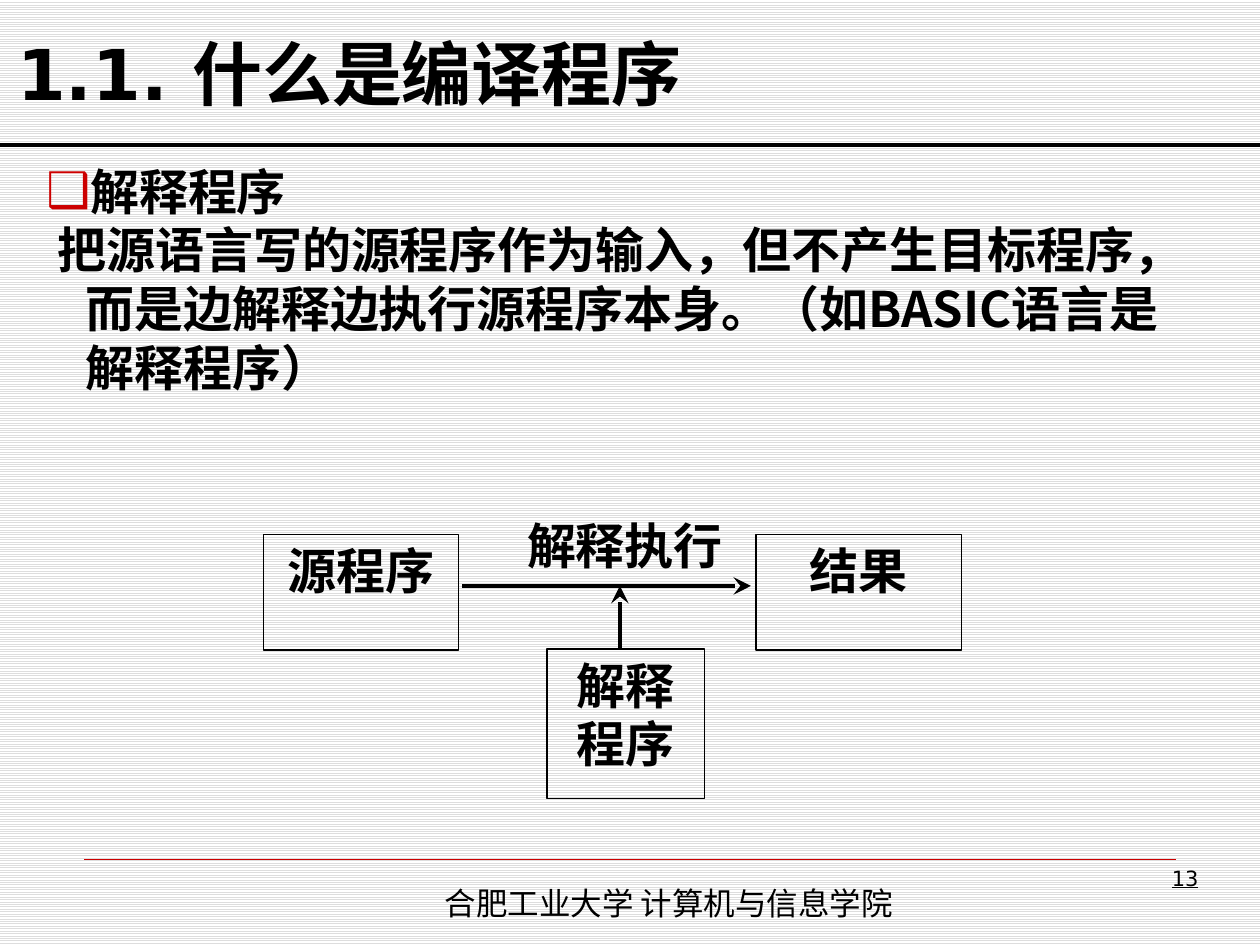
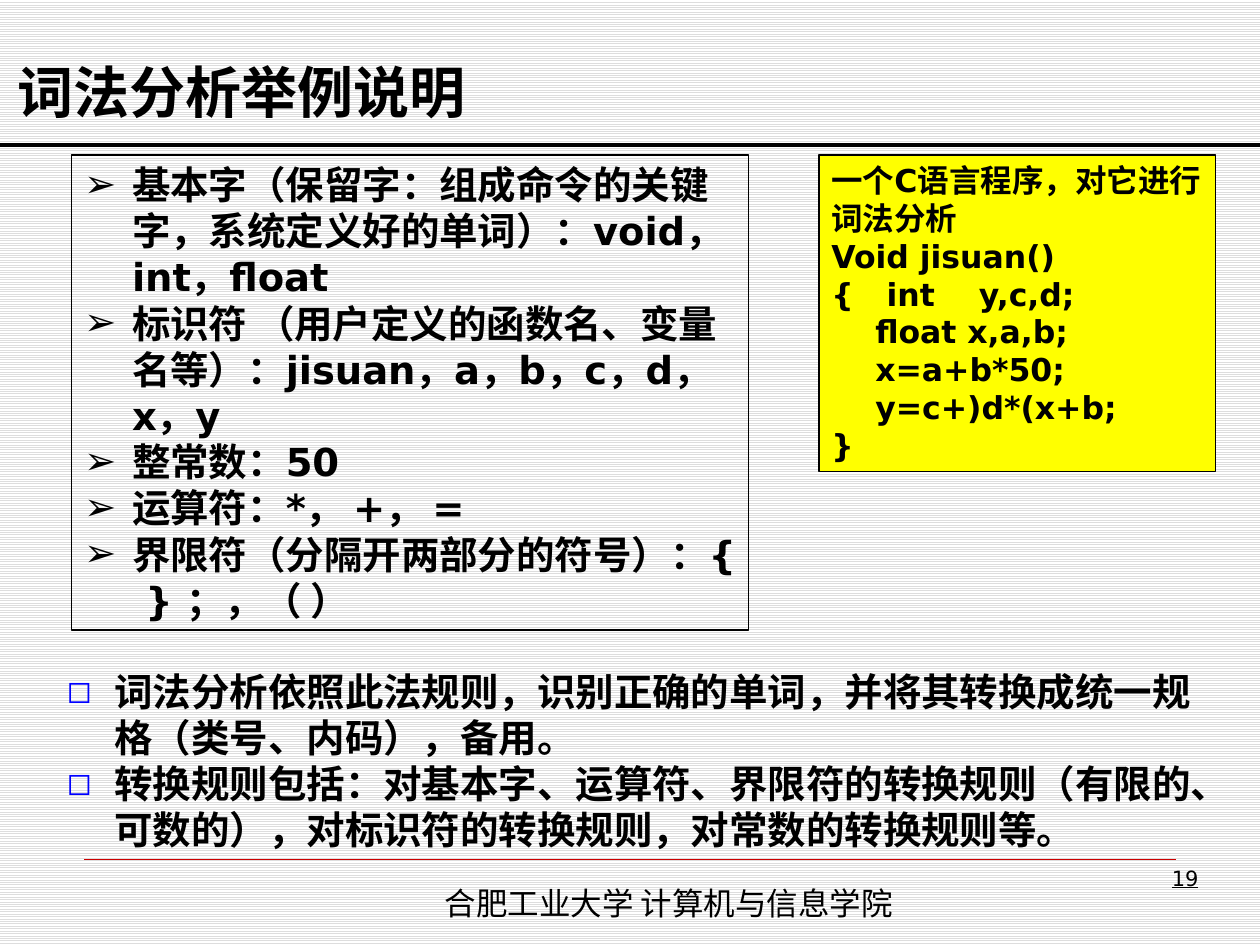
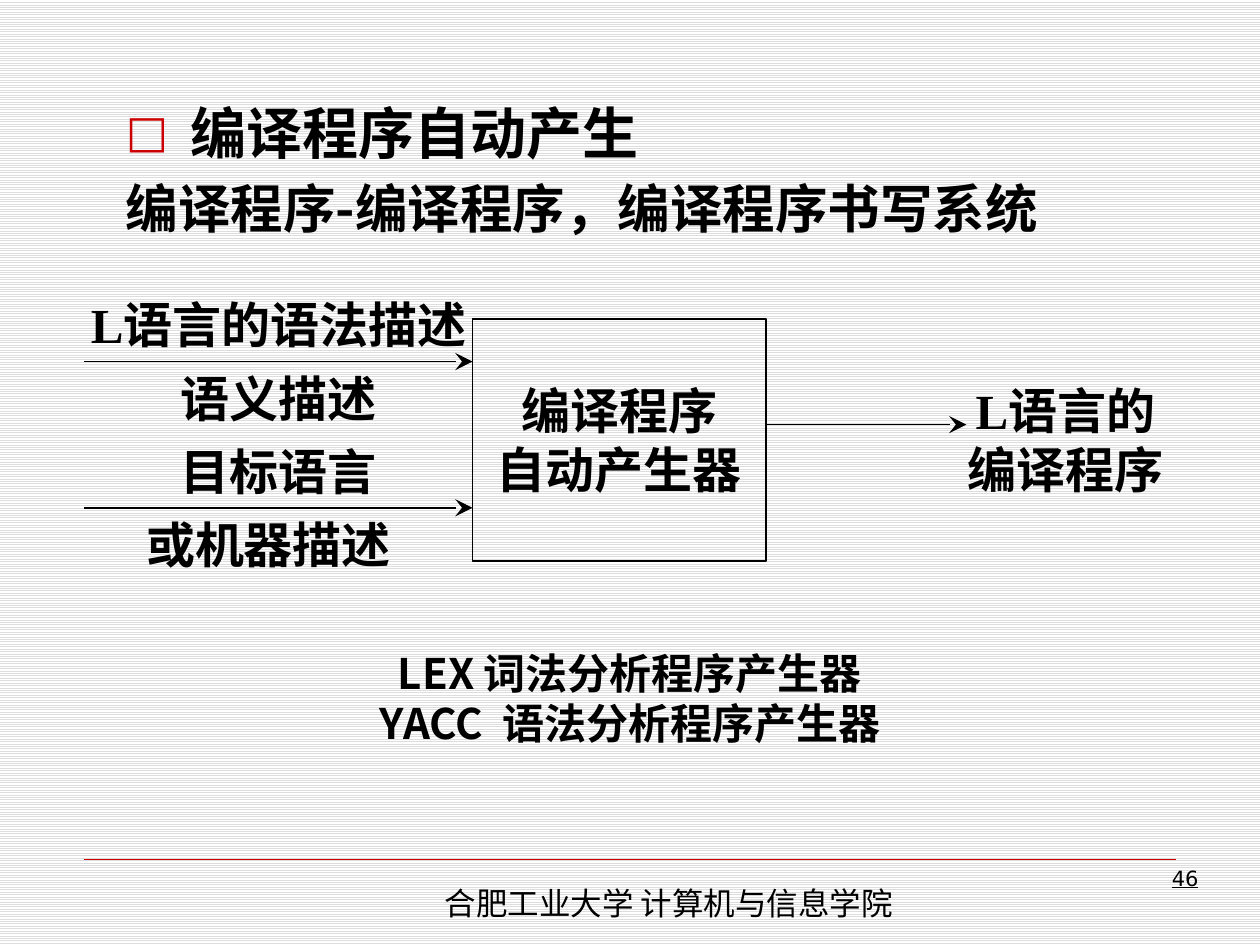
"""Build three lecture slides on compilers."""
import pptx
import pptx.dml.color
import pptx.enum.dml
import pptx.enum.shapes
import pptx.enum.text
import pptx.oxml.ns
import pptx.util
import lxml.etree

COLORS = {"text": "000000", "rule": "CC0000", "red": "CC0000", "blue": "0000FF",
          "code": "FFFF00", "stripe": "DDDDDD", "paper": "FFFFFF"}
HAN, SANS, SERIF = "Noto Sans CJK SC", "DejaVu Sans", "Times New Roman"
ALIGN = pptx.enum.text.PP_ALIGN
ANCHOR = pptx.enum.text.MSO_ANCHOR
Inches = pptx.util.Inches
LEADING = 1.2


def rgb(name):
    """Return the named colour."""
    return pptx.dml.color.RGBColor.from_string(COLORS[name])


def add_xml(parent, tag, **attrs):
    """Append a DrawingML element."""
    return lxml.etree.SubElement(parent, pptx.oxml.ns.qn(tag), attrs)


def add_bullet(p, char, color, percent):
    """Give a paragraph a coloured bullet."""
    pPr = p._p.get_or_add_pPr()
    add_xml(add_xml(pPr, "a:buClr"), "a:srgbClr", val=COLORS[color])
    add_xml(pPr, "a:buSzPct", val=str(percent * 1000))
    add_xml(pPr, "a:buFont", typeface=SANS)
    add_xml(pPr, "a:buChar", char=char)


def add_run(p, text, font, size, bold, underline=False):
    """Add one formatted run to a paragraph."""
    r = p.add_run()
    r.text = text
    r.font.size = pptx.util.Pt(size)
    r.font.bold = bold
    r.font.underline = underline
    r.font.name = font
    r.font.color.rgb = rgb("text")
    add_xml(r._r.get_or_add_rPr(), "a:ea", typeface=HAN)


def add_paragraph(tf, text, font, size, bold=True, underline=False, align=ALIGN.LEFT,
                  indent=0, bullet=None, bullet_color="text", bullet_percent=100, before=0):
    """Add a paragraph, using the first empty one if there is one."""
    first = tf.paragraphs[0]
    p = tf.add_paragraph() if first.runs else first
    if bullet:
        add_bullet(p, bullet, bullet_color, bullet_percent)
    if indent:
        pPr = p._p.get_or_add_pPr()
        pPr.set("marL", str(Inches(indent)))
        pPr.set("indent", str(-Inches(indent)))
    p.alignment = align
    p.line_spacing = pptx.util.Pt(round(size * LEADING, 1))
    if before:
        p.space_before = pptx.util.Pt(before)
    add_run(p, text, font, size, bold, underline)


def set_frame(sp, lines, font, size, anchor=ANCHOR.TOP, wrap=True, side=0.1, **style):
    """Fill a shape with paragraphs of one style."""
    tf = sp.text_frame
    tf.word_wrap = wrap
    tf.vertical_anchor = anchor
    tf.margin_left = tf.margin_right = Inches(side)
    for text in lines:
        add_paragraph(tf, text, font, size, **style)
    return tf


def add_text(s, box, lines, font, size, **style):
    """Add a text box."""
    sp = s.shapes.add_textbox(*map(Inches, box))
    return set_frame(sp, lines, font, size, **style)


def add_box(s, box, lines, font, size, fill=None, width=0.75, **style):
    """Add an outlined rectangle with text."""
    sp = s.shapes.add_shape(pptx.enum.shapes.MSO_SHAPE.RECTANGLE, *map(Inches, box))
    sp.shadow.inherit = False
    if fill:
        sp.fill.solid()
        sp.fill.fore_color.rgb = rgb(fill)
    else:
        sp.fill.background()
    sp.line.color.rgb = rgb("text")
    sp.line.width = pptx.util.Pt(width)
    set_frame(sp, lines, font, size, **style)


def add_line(s, x1, y1, x2, y2, width, color="text", arrow=False):
    """Add a straight line, with an arrowhead on request."""
    sp = s.shapes.add_connector(pptx.enum.shapes.MSO_CONNECTOR.STRAIGHT,
                                *map(Inches, (x1, y1, x2, y2)))
    sp.line.color.rgb = rgb(color)
    sp.line.width = pptx.util.Pt(width)
    if arrow:
        add_xml(sp.line._get_or_add_ln(), "a:tailEnd", type="stealth", w="lg", len="lg")
    add_xml(sp._element.spPr, "a:effectLst")


def add_slide(prs, number):
    """Add a striped slide with its footer and page number."""
    s = prs.slides.add_slide(prs.slide_layouts[6])
    fill = s.background.fill
    fill.patterned()
    fill.pattern = pptx.enum.dml.MSO_PATTERN.LIGHT_HORIZONTAL
    fill.fore_color.rgb = rgb("stripe")
    fill.back_color.rgb = rgb("paper")
    add_line(s, 0.67, 6.82, 9.33, 6.82, 0.25, "rule")
    add_text(s, (3.43, 6.97, 4.8, 0.4), ["合肥工业大学 计算机与信息学院"], HAN, 18, bold=False)
    add_text(s, (7.44, 6.82, 2.17, 0.52), [str(number)], SANS, 12,
             bold=False, underline=True, align=ALIGN.RIGHT)
    return s


def add_title(s, box, text, font, size):
    """Add a title and the heavy rule under it."""
    add_text(s, box, [text], font, size, anchor=ANCHOR.BOTTOM)
    add_line(s, 0, 1.15, 10, 1.15, 2.25)


def build_interpreter(prs):
    """Build the slide on interpreters."""
    s = add_slide(prs, 13)
    add_title(s, (0.04, 0.13, 8.5, 0.83), "1.1. 什么是编译程序", SANS, 40)
    tf = add_text(s, (0.27, 1.23, 9.17, 1.97), ["解释程序"], HAN, 28,
                  indent=0.31, bullet="❑", bullet_color="red")
    add_paragraph(tf, " 把源语言写的源程序作为输入，但不产生目标程序，而是边解释边执行源程序本身。"
                  "（如BASIC语言是解释程序）", HAN, 28, indent=0.31)
    for box, lines, font in (((2.09, 4.24, 1.55, 0.92), ["源程序"], HAN),
                             ((6, 4.24, 1.63, 0.92), ["结果"], SERIF),
                             ((4.34, 5.15, 1.25, 1.19), ["解释", "程序"], HAN)):
        add_box(s, box, lines, font, 28, align=ALIGN.CENTER)
    add_line(s, 3.67, 4.65, 5.96, 4.65, 2, arrow=True)
    add_line(s, 4.92, 5.15, 4.92, 4.65, 2, arrow=True)
    add_text(s, (3.96, 3.99, 2, 0.67), ["解释执行"], SERIF, 28,
             anchor=ANCHOR.MIDDLE, wrap=False, align=ALIGN.CENTER)


def build_lexical_example(prs):
    """Build the slide with the lexical analysis example."""
    s = add_slide(prs, 19)
    add_title(s, (0.04, 0.21, 8.75, 0.83), "词法分析举例说明", HAN, 32)
    tokens = ["基本字（保留字：组成命令的关键字，系统定义好的单词）：void，int，float",
              "标识符 （用户定义的函数名、变量名等）：jisuan，a，b，c，d，x，y",
              "整常数：50",
              "运算符：*， +， =",
              "界限符（分隔开两部分的符号）：{  } ；，（ ）"]
    add_box(s, (0.57, 1.23, 5.37, 3.77), tokens, SANS, 22, indent=0.38, bullet="➢")
    rules = ["词法分析依照此法规则，识别正确的单词，并将其转换成统一规格（类号、内码），备用。",
             "转换规则包括：对基本字、运算符、界限符的转换规则（有限的、可数的），"
             "对标识符的转换规则，对常数的转换规则等。"]
    add_text(s, (0.43, 5.25, 9.29, 1.57), rules, SANS, 22,
             indent=0.38, bullet="◻", bullet_color="blue", bullet_percent=80)
    code = ["一个C语言程序，对它进行词法分析",
            "Void jisuan()",
            "{   int    y,c,d;",
            "    float x,a,b;",
            "    x=a+b*50;",
            "    y=c+)d*(x+b;",
            "}"]
    add_box(s, (6.5, 1.23, 3.15, 2.51), code, SANS, 18, fill="code")


def build_generator(prs):
    """Build the slide on compiler generators."""
    s = add_slide(prs, 46)
    tf = add_text(s, (0.9, 0.73, 8.19, 1.3), ["编译程序自动产生"], HAN, 32,
                  indent=0.51, bullet="□", bullet_color="red", bullet_percent=80)
    add_paragraph(tf, "编译程序-编译程序，编译程序书写系统", HAN, 30, indent=0.51, before=6)
    add_text(s, (0.75, 5.09, 8.5, 1.02),
             ["LEX 词法分析程序产生器", "YACC  语法分析程序产生器"], HAN, 24, align=ALIGN.CENTER)
    label = dict(font=SERIF, size=28, anchor=ANCHOR.MIDDLE, wrap=False, side=0,
                 align=ALIGN.CENTER)
    add_box(s, (3.75, 2.53, 2.33, 1.92), ["编译程序", "自动产生器"], width=1, **label)
    for x, y, width, text in ((0.61, 2.28, 3.2, "L语言的语法描述"),
                              (0.75, 2.87, 2.92, "语义描述"),
                              (0.75, 3.45, 2.92, "目标语言"),
                              (0.67, 4.03, 2.92, "或机器描述")):
        add_text(s, (x, y, width, 0.58), [text], **label)
    add_text(s, (7.58, 2.7, 1.75, 1.58), ["L语言的", "编译程序"], **label)
    for x1, x2, y in ((0.67, 3.75, 2.87), (0.67, 3.75, 4.03), (6.08, 7.67, 3.37)):
        add_line(s, x1, y, x2, y, 1, arrow=True)


def main():
    """Build and save the slides."""
    prs = pptx.Presentation()
    prs.slide_width, prs.slide_height = Inches(10), Inches(7.5)
    build_interpreter(prs)
    build_lexical_example(prs)
    build_generator(prs)
    prs.save("out.pptx")


if __name__ == "__main__":
    main()
